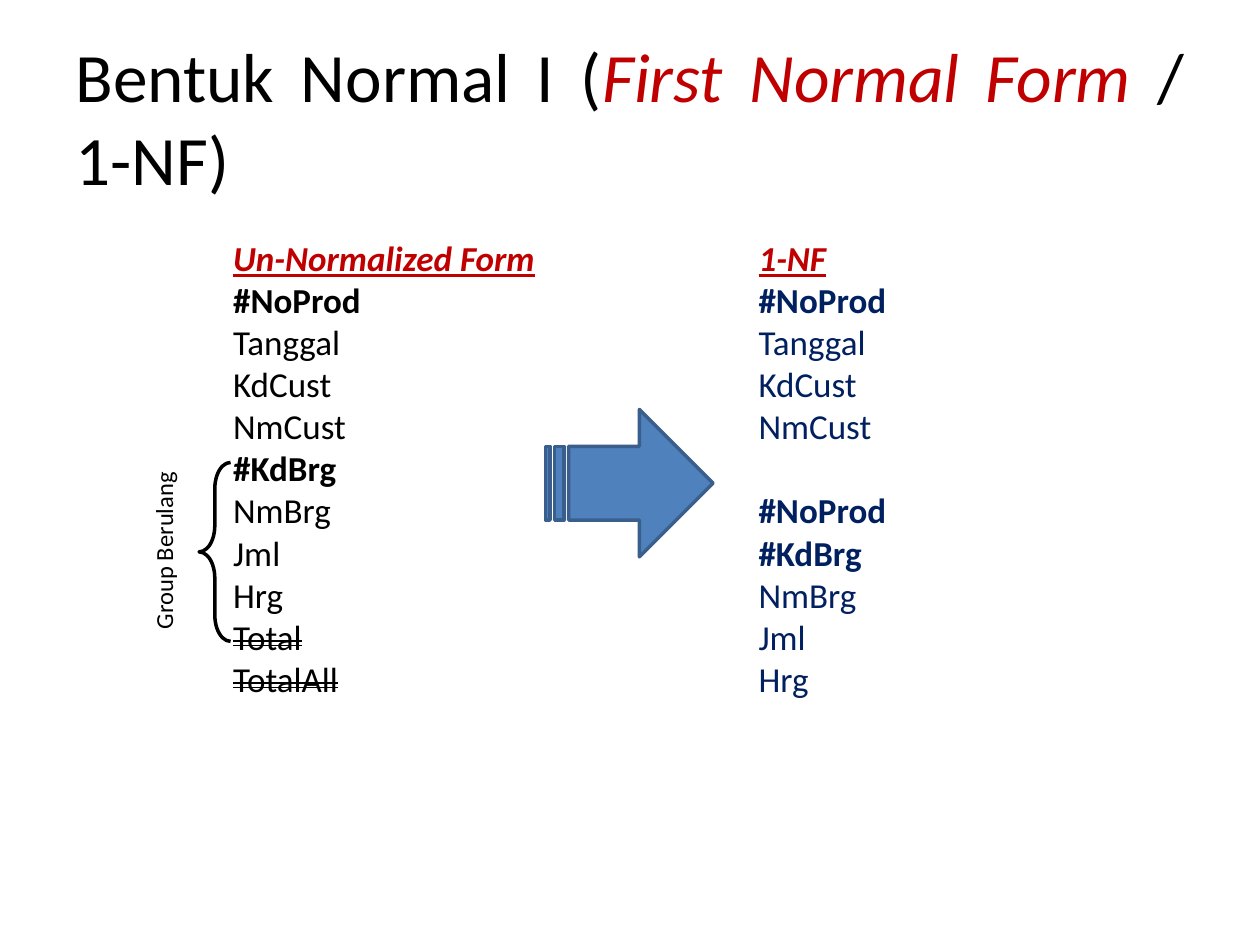
from pptx import Presentation
from pptx.dml.color import RGBColor
from pptx.enum import shapes, text
from pptx.util import Inches, Pt

BLACK = RGBColor(0x00, 0x00, 0x00)
RED = RGBColor(0xC0, 0x00, 0x00)
NAVY = RGBColor(0x00, 0x20, 0x60)
BLUE = RGBColor(0x4F, 0x81, 0xBD)
DARK_BLUE = RGBColor(0x3A, 0x5F, 0x8C)


class Deck:
    """Builds slide elements in one shared style."""

    font = "Calibri"

    def __init__(self, prs):
        self.slide = prs.slides.add_slide(prs.slide_layouts[3])

    def place(self, sp, box):
        sp.left, sp.top, sp.width, sp.height = map(Inches, box)

    def style(self, font, size, color, bold=False, italic=False):
        font.name, font.size = self.font, Pt(size)
        font.bold, font.italic = bold, italic
        font.color.rgb = color

    def title(self, box, runs, size):
        sp = self.slide.shapes.title
        self.place(sp, box)
        tf = sp.text_frame
        tf.auto_size = text.MSO_AUTO_SIZE.NONE
        tf.vertical_anchor = text.MSO_ANCHOR.MIDDLE
        p = tf.paragraphs[0]
        p.alignment = text.PP_ALIGN.JUSTIFY
        for words, color, italic in runs:
            r = p.add_run()
            r.text = words
            self.style(r.font, size, color, italic=italic)

    def fields(self, idx, box, heading, groups, color, struck=(), size=20):
        sp = self.slide.placeholders[idx]
        self.place(sp, box)
        tf = sp.text_frame
        tf.auto_size = text.MSO_AUTO_SIZE.NONE
        rows = [(heading, 4)]
        for number, group in enumerate(groups):
            rows += [(name, 24 if number and not i else 0) for i, name in enumerate(group)]
        for i, (name, gap) in enumerate(rows):
            p = tf.add_paragraph() if i else tf.paragraphs[0]
            p.text = name
            p.space_before = Pt(gap)
            first = i == 0
            self.style(p.font, size, RED if first else color,
                       bold=first or name.startswith("#"), italic=first)
            p.font.underline = first
            pPr = p._p.get_or_add_pPr()
            pPr.set("marL", "0")
            pPr.set("indent", "0")
            pPr.insert_element_before(pPr.makeelement(
                "{http://schemas.openxmlformats.org/drawingml/2006/main}buNone"), "a:tabLst", "a:defRPr")
            if name in struck:
                pPr.get_or_add_defRPr().set("strike", "dblStrike")

    def label(self, box, words, size, rotation):
        sp = self.slide.shapes.add_textbox(*map(Inches, box))
        sp.rotation = rotation
        tf = sp.text_frame
        tf.word_wrap = False
        p = tf.paragraphs[0]
        p.text = words
        p.alignment = text.PP_ALIGN.CENTER
        self.style(p.font, size, BLACK)

    def shape(self, kind, box, line, fill=None):
        sp = self.slide.shapes.add_shape(kind, *map(Inches, box))
        sp.shadow.inherit = False
        sp.line.color.rgb = line
        sp.line.width = Pt(2)
        if fill is None:
            sp.fill.background()
        else:
            sp.fill.solid()
            sp.fill.fore_color.rgb = fill
        return sp


prs = Presentation()
prs.slide_width, prs.slide_height = Inches(10), Inches(7.5)
deck = Deck(prs)
deck.title((0.5, 0.3, 9, 1.25), [
    ("Bentuk Normal I (", BLACK, False),
    ("First Normal Form ", RED, True),
    ("/ 1-NF)", BLACK, False),
], 39.6)

header = ["#NoProd", "Tanggal", "KdCust", "NmCust"]
items = ["#KdBrg", "NmBrg", "Jml", "Hrg"]
totals = ["Total", "TotalAll"]
deck.fields(1, (1.75, 1.83, 3, 4.92), "Un-Normalized Form",
            [header + items + totals], BLACK, struck=totals)
deck.fields(2, (5.92, 1.83, 3, 4.92), "1-NF",
            [header, header[:1] + items], NAVY)

brace = deck.shape(shapes.MSO_SHAPE.LEFT_BRACE, (1.58, 3.67, 0.25, 1.42), BLACK)
brace.adjustments[0] = 0.83
deck.label((0.51, 4.2, 1.58, 0.34), "Group Berulang", 14, 270)
deck.shape(shapes.MSO_SHAPE.STRIPED_RIGHT_ARROW, (4.33, 3.25, 1.33, 1.17), DARK_BLUE, BLUE)
prs.save("out.pptx")
